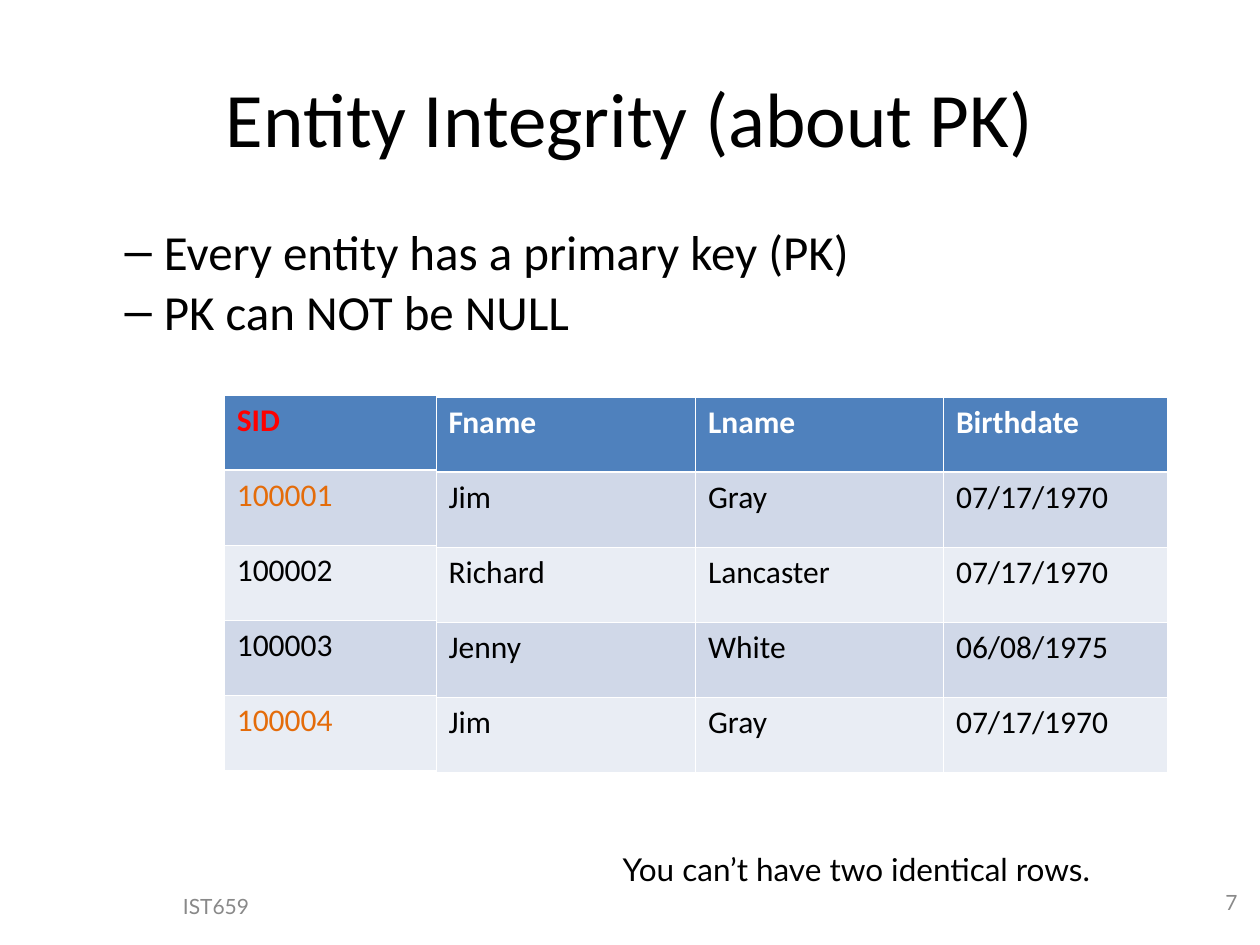
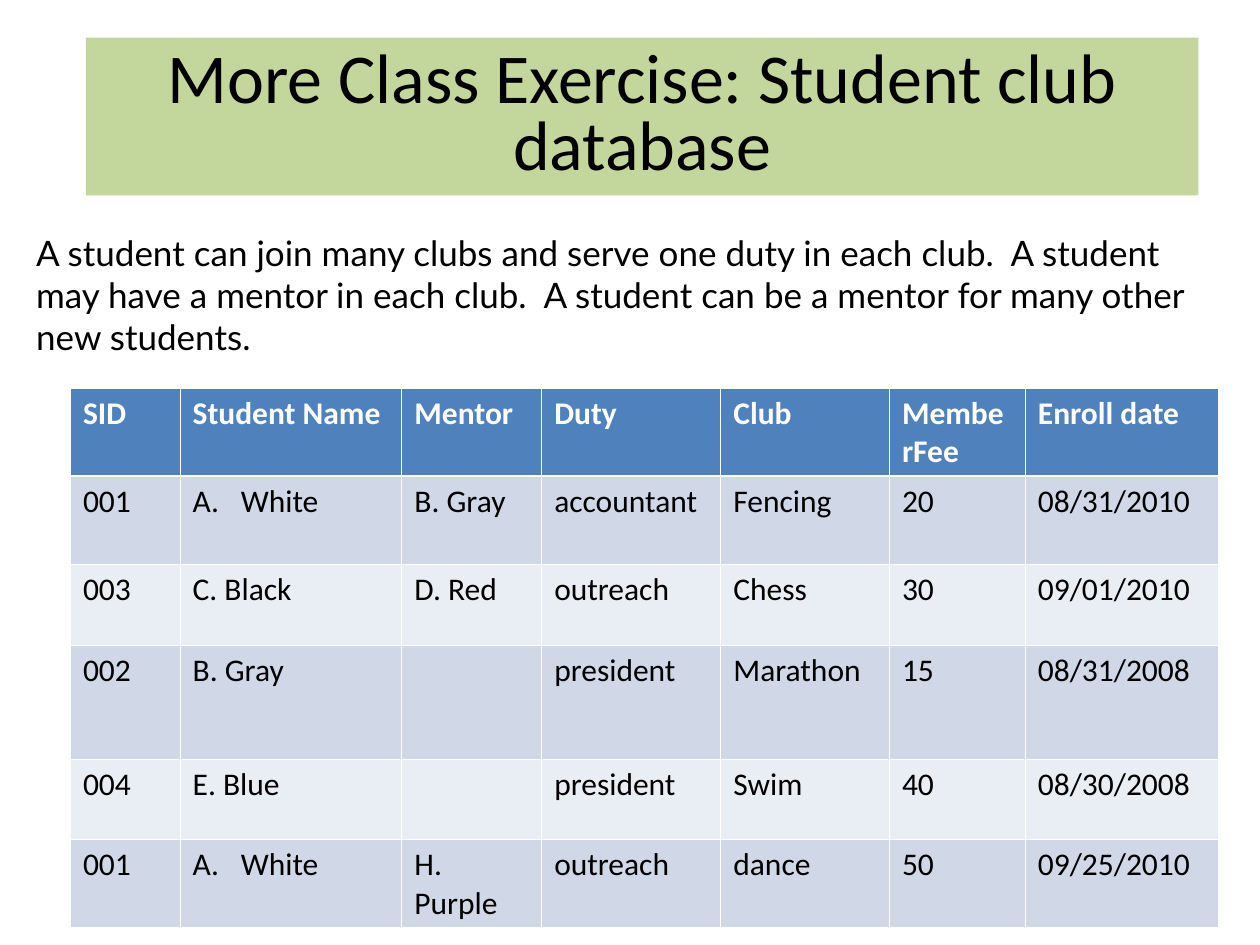
from lxml.etree import SubElement
from pptx import Presentation
from pptx.dml.color import RGBColor
from pptx.enum.text import MSO_ANCHOR as Anchor, MSO_AUTO_SIZE as AutoSize, PP_ALIGN as Align
from pptx.oxml.ns import qn
from pptx.util import Cm, Pt

BLACK = RGBColor(0x00, 0x00, 0x00)
WHITE = RGBColor(0xFF, 0xFF, 0xFF)
GREY = RGBColor(0x89, 0x89, 0x89)
RED = RGBColor(0xFF, 0x00, 0x00)
ORANGE = RGBColor(0xE4, 0x6C, 0x0A)
GREEN = RGBColor(0xC3, 0xD6, 0x9B)
HEADER_BLUE = RGBColor(0x4F, 0x81, 0xBD)
BANDS = (RGBColor(0xD0, 0xD8, 0xE8), RGBColor(0xE9, 0xED, 0xF4))

HEADING_FONT = "Calibri"
NOTE_FONT = "Lato"
THIN, THICK = Pt(0.45), Pt(1.47)

KEY_COLUMN = [["SID"], ["100001"], ["100002"], ["100003"], ["100004"]]
PERSON_ROWS = [
    ["Fname", "Lname", "Birthdate"],
    ["Jim", "Gray", "07/17/1970"],
    ["Richard", "Lancaster", "07/17/1970"],
    ["Jenny", "White", "06/08/1975"],
    ["Jim", "Gray", "07/17/1970"],
]
CLUB_ROWS = [
    ["SID", "Student Name", "Mentor", "Duty", "Club", "MemberFee", "Enroll date"],
    ["001", "White", "B. Gray", "accountant", "Fencing", "20", "08/31/2010"],
    ["003", "C. Black", "D. Red", "outreach", "Chess", "30", "09/01/2010"],
    ["002", "B. Gray", "", "president", "Marathon", "15", "08/31/2008"],
    ["004", "E. Blue", "", "president", "Swim", "40", "08/30/2008"],
    ["001", "White", "H. Purple", "outreach", "dance", "50", "09/25/2010"],
]


def write(frame, *lines, size=18, font=HEADING_FONT, color=BLACK, bold=False,
          align=Align.LEFT, spacing=None, gap=0):
    for number, line in enumerate(lines):
        paragraph = frame.add_paragraph() if number else frame.paragraphs[0]
        paragraph.alignment = align
        paragraph.line_spacing = spacing
        paragraph.space_before = Pt(gap if number else 0)
        run = paragraph.add_run()
        run.text = line
        run.font.size = Pt(size)
        run.font.name = font
        run.font.bold = bold
        run.font.color.rgb = color


def place(shape, box):
    shape.left, shape.top, shape.width, shape.height = (Cm(length) for length in box)


def add_title(slide, box, text, size=44, fill=None, spacing=None):
    title = slide.shapes.title
    place(title, box)
    frame = title.text_frame
    frame.auto_size = AutoSize.NONE
    frame.vertical_anchor = Anchor.MIDDLE
    if fill:
        title.fill.solid()
        title.fill.fore_color.rgb = fill
    write(frame, text, size=size, align=Align.CENTER, spacing=spacing)


def add_note(slide, box, text, anchor=Anchor.TOP, **text_format):
    note = slide.shapes.add_textbox(*(Cm(length) for length in box))
    frame = note.text_frame
    frame.word_wrap = True
    frame.vertical_anchor = anchor
    write(frame, text, font=NOTE_FONT, **text_format)


def mark(paragraph, tag, indent, **attributes):
    properties = paragraph._p.get_or_add_pPr()
    properties.set("marL", str(Cm(indent[0])))
    properties.set("indent", str(Cm(indent[1])))
    SubElement(properties, qn(tag), **attributes)


def add_rules(body, box, *rules):
    place(body, box)
    frame = body.text_frame
    frame.auto_size = AutoSize.NONE
    frame.margin_top = Cm(0.25)
    write(frame, *rules, size=28, spacing=0.8, gap=7)
    for paragraph in frame.paragraphs:
        paragraph.level = 1
        mark(paragraph, "a:buChar", (1.78, -0.79), char="–")


def border(cell, row):
    properties = cell._tc.get_or_add_tcPr()
    widths = {"L": THIN, "R": THIN,
              "T": THICK if row == 1 else THIN,
              "B": THICK if row == 0 else THIN}
    for side, width in widths.items():
        line = SubElement(properties, qn(f"a:ln{side}"), w=str(width))
        fill = SubElement(line, qn("a:solidFill"))
        SubElement(fill, qn("a:srgbClr"), val=str(WHITE))


def add_grid(slide, corner, widths, heights, rows, row_colors=None):
    left, top = corner
    table = slide.shapes.add_table(
        len(rows), len(widths), Cm(left), Cm(top),
        Cm(sum(widths)), Cm(sum(heights))).table
    table.first_row = table.horz_banding = False
    for column, width in zip(table.columns, widths):
        column.width = Cm(width)
    for number, (values, height) in enumerate(zip(rows, heights)):
        table.rows[number].height = Cm(height)
        header = number == 0
        color = (row_colors or {}).get(number, WHITE if header else BLACK)
        for column, value in enumerate(values):
            cell = table.cell(number, column)
            border(cell, number)
            cell.fill.solid()
            cell.fill.fore_color.rgb = HEADER_BLUE if header else BANDS[(number - 1) % 2]
            write(cell.text_frame, value, color=color, bold=header)
    return table


def build_entity_integrity(deck):
    slide = deck.slides.add_slide(deck.slide_layouts[1])
    add_title(slide, (1.27, 0.76, 22.86, 3.18), "Entity Integrity (about PK)")
    add_rules(slide.placeholders[1], (1.27, 4.45, 22.86, 12.57),
              "Every entity has a primary key (PK)", "PK can NOT be NULL")
    heights = [1.51] * len(PERSON_ROWS)
    add_grid(slide, (8.79, 8.01), (5.23, 5, 4.52), heights, PERSON_ROWS)
    add_grid(slide, (4.52, 7.97), (4.27,), heights, KEY_COLUMN,
             row_colors={0: RED, 1: ORANGE, 4: ORANGE})
    add_note(slide, (8.79, 17.02, 13.44, 1.02), "You can’t have two identical rows.",
             align=Align.RIGHT)
    add_note(slide, (0.33, 17.75, 8.05, 1.02), "IST659", anchor=Anchor.MIDDLE,
             size=12, color=GREY, align=Align.CENTER)
    add_note(slide, (23.93, 17.53, 1.27, 1.32), "7", anchor=Anchor.MIDDLE,
             size=12, color=GREY, align=Align.RIGHT)


def build_club_exercise(deck):
    slide = deck.slides.add_slide(deck.slide_layouts[5])
    add_title(slide, (1.73, 0.76, 22.43, 3.18),
              "More Class Exercise: Student club database",
              size=40, fill=GREEN, spacing=0.8)
    add_note(slide, (0.48, 4.55, 24.56, 2.79),
             "A student can join many clubs and serve one duty in each club.  "
             "A student may have a mentor in each club.  "
             "A student can be a mentor for many other new students.", size=20)
    clubs = add_grid(slide, (1.42, 7.82), (2.21, 4.47, 2.82, 3.61, 3.4, 2.74, 3.89),
                     (1.78, 1.78, 1.62, 2.3, 1.62, 1.78), CLUB_ROWS)
    for number, values in enumerate(CLUB_ROWS):
        if values[1] == "White":
            mark(clubs.cell(number, 1).text_frame.paragraphs[0], "a:buAutoNum",
                 (0.97, -0.97), type="alphaUcPeriod")


def main():
    deck = Presentation()
    deck.slide_width, deck.slide_height = Cm(25.4), Cm(19.05)
    build_entity_integrity(deck)
    build_club_exercise(deck)
    deck.save("out.pptx")


if __name__ == "__main__":
    main()
